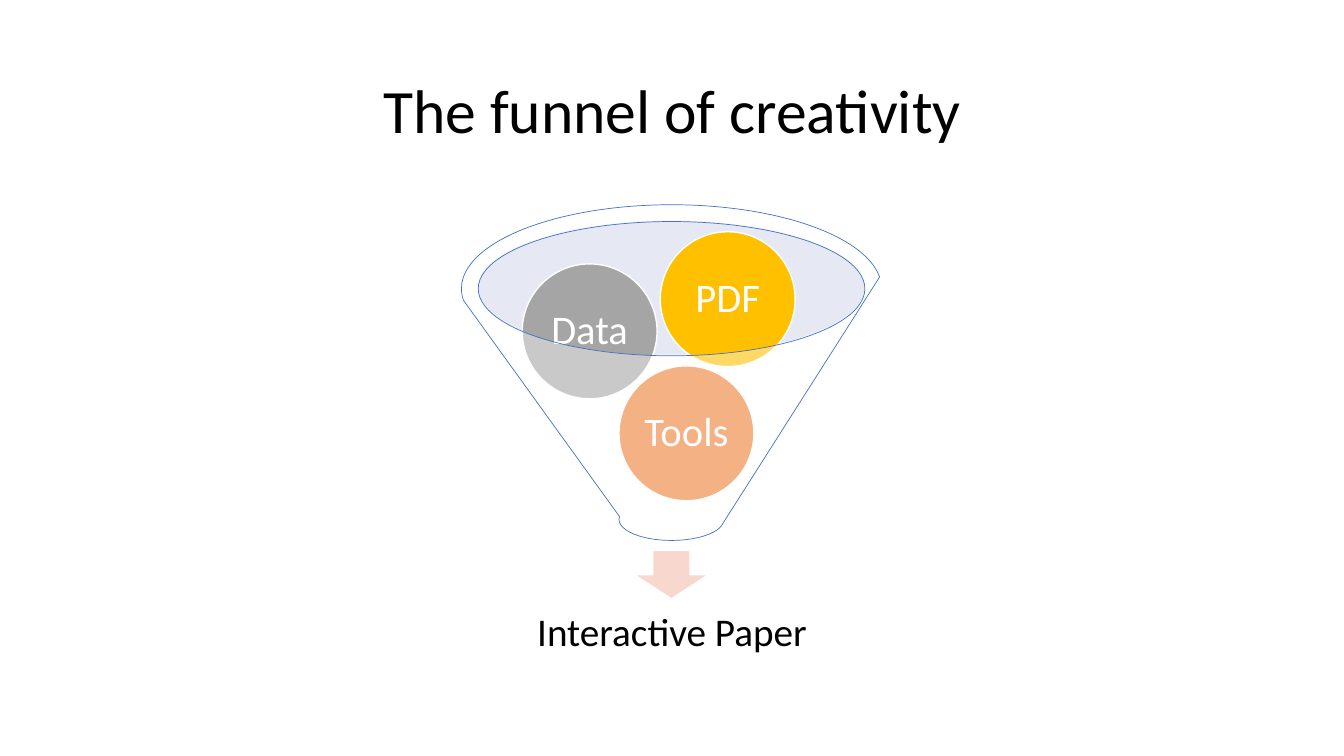
from dataclasses import dataclass

from lxml.etree import SubElement
from pptx import Presentation
from pptx.dml.color import RGBColor
from pptx.enum.shapes import MSO_SHAPE as Preset
from pptx.enum.text import MSO_ANCHOR as Anchor, PP_ALIGN as Align
from pptx.oxml.ns import qn
from pptx.util import Cm, Pt


@dataclass(frozen=True)
class Theme:
    font: str = "Calibri"
    text: str = "000000"
    white: str = "FFFFFF"
    mouth: str = "C1C9E4"
    arrow: str = "F8D7CE"
    rim: str = "4472C4"
    tools: str = "ED7D31"
    data: str = "A5A5A5"
    pdf: str = "FFC000"
    title_size: int = 44
    result_size: int = 28
    ball_size: int = 29
    opacity: int = 40


THEME = Theme()
BALL_DIAMETER = 3.4


def set_text(shape, text, size, color, inset=0.1):
    frame = shape.text_frame
    frame.text = text
    frame.vertical_anchor = Anchor.MIDDLE
    frame.margin_left = frame.margin_right = Cm(inset)
    frame.margin_top = frame.margin_bottom = Cm(inset)
    para = frame.paragraphs[0]
    para.alignment = Align.CENTER
    para.line_spacing = 0.9
    font = para.runs[0].font
    font.name = THEME.font
    font.size = Pt(size)
    font.color.rgb = RGBColor.from_string(color)


def add_preset(group, preset, place, fill, line=None, line_width=1, opacity=100):
    """Add a flat preset shape; place is left, top, width, height in cm."""
    shape = group.shapes.add_shape(preset, *map(Cm, place))
    shape.shadow.inherit = False
    shape.fill.solid()
    shape.fill.fore_color.rgb = RGBColor.from_string(fill)
    if opacity < 100:
        color = shape.fill._xPr.find(qn("a:solidFill"))[0]
        SubElement(color, qn("a:alpha")).set("val", str(opacity * 1000))
    if line:
        shape.line.color.rgb = RGBColor.from_string(line)
        shape.line.width = Pt(line_width)
    else:
        shape.line.fill.background()
    return shape


def add_ball(group, text, left, top, fill):
    place = (left, top, BALL_DIAMETER, BALL_DIAMETER)
    ball = add_preset(group, Preset.OVAL, place, fill, THEME.white)
    set_text(ball, text, THEME.ball_size, THEME.white)
    ball.text_frame.word_wrap = False


def add_result(group, text):
    box = group.shapes.add_textbox(Cm(12.4), Cm(14.83), Cm(9.07), Cm(2.26))
    set_text(box, text, THEME.result_size, THEME.text, inset=0.56)
    box.text_frame.word_wrap = True


def set_title(page, text):
    title = page.shapes.title
    title.left, title.top = Cm(2.34), Cm(1.02)
    title.width, title.height = Cm(29.21), Cm(3.68)
    set_text(title, text, THEME.title_size, THEME.text)


def add_funnel(page):
    group = page.shapes.add_group_shape()
    add_preset(group, Preset.OVAL, (12.04, 5.56, 9.75, 3.38), THEME.mouth,
               opacity=THEME.opacity)
    add_preset(group, Preset.DOWN_ARROW, (15.98, 13.87, 1.88, 1.22),
               THEME.arrow, THEME.white)
    add_result(group, "Interactive Paper")
    add_ball(group, "Tools", 15.6, 9.22, THEME.tools)
    add_ball(group, "Data", 13.16, 6.65, THEME.data)
    add_ball(group, "PDF", 16.64, 5.84, THEME.pdf)
    add_preset(group, Preset.FUNNEL, (11.63, 5.16, 10.59, 8.46), THEME.white,
               THEME.rim, line_width=0.5, opacity=THEME.opacity)


def main():
    deck = Presentation()
    deck.slide_width, deck.slide_height = Cm(33.87), Cm(19.05)
    page = deck.slides.add_slide(deck.slide_layouts.get_by_name("Title Only"))
    set_title(page, "The funnel of creativity")
    add_funnel(page)
    deck.save("out.pptx")


if __name__ == "__main__":
    main()
